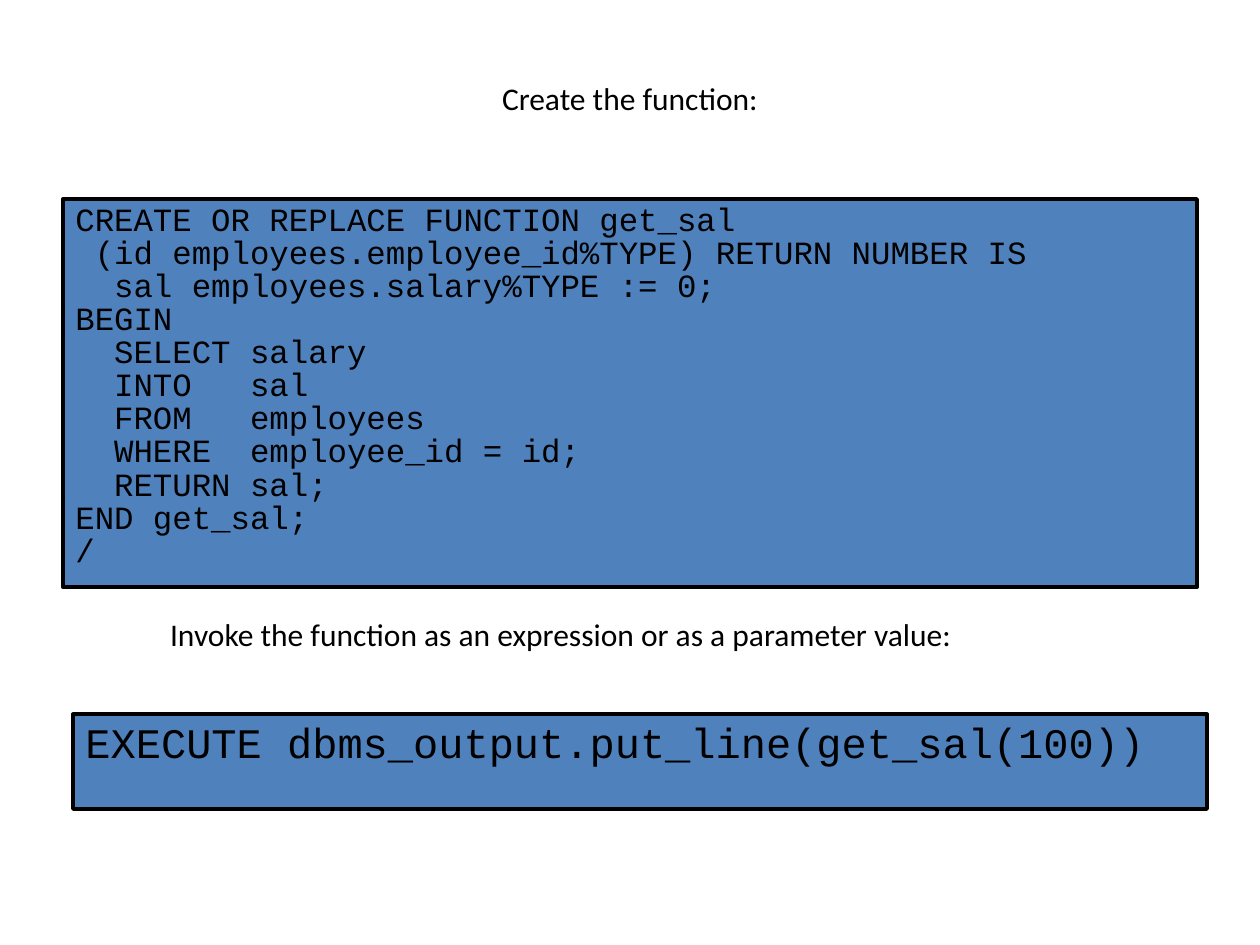
import pptx
import pptx.dml.color
import pptx.enum.shapes
import pptx.enum.text
import pptx.util

Inches = pptx.util.Inches
Pt = pptx.util.Pt
Align = pptx.enum.text.PP_ALIGN
Anchor = pptx.enum.text.MSO_ANCHOR

COLORS = {"ink": "000000", "panel": "4F81BD"}
TEXT_FONT = "Calibri"
CODE_FONT = "Courier New"

FUNCTION_CODE = """CREATE OR REPLACE FUNCTION get_sal
 (id employees.employee_id%TYPE) RETURN NUMBER IS
  sal employees.salary%TYPE := 0;
BEGIN
  SELECT salary
  INTO   sal
  FROM   employees
  WHERE  employee_id = id;
  RETURN sal;
END get_sal;
/"""
CALL_CODE = "EXECUTE dbms_output.put_line(get_sal(100))"


class SlideBuilder:
    def __init__(self, slide):
        self.slide = slide

    def color(self, name):
        return pptx.dml.color.RGBColor.from_string(COLORS[name])

    def add_line(self, para, text, font, size):
        span = para.add_run()
        span.text = text
        span.font.name = font
        span.font.size = Pt(size)
        span.font.color.rgb = self.color("ink")

    def label(self, text, left, top, width, height, align=Align.LEFT,
              anchor=Anchor.TOP, left_inset=0.1, bottom_inset=0.05):
        box = self.slide.shapes.add_textbox(
            Inches(left), Inches(top), Inches(width), Inches(height))
        frame = box.text_frame
        frame.word_wrap = True
        frame.vertical_anchor = anchor
        frame.margin_left = Inches(left_inset)
        frame.margin_bottom = Inches(bottom_inset)
        para = frame.paragraphs[0]
        para.alignment = align
        self.add_line(para, text, TEXT_FONT, 18)

    def code_panel(self, code, left, top, width, height, size, spacing):
        panel = self.slide.shapes.add_shape(
            pptx.enum.shapes.MSO_SHAPE.RECTANGLE,
            Inches(left), Inches(top), Inches(width), Inches(height))
        panel.shadow.inherit = False
        panel.fill.solid()
        panel.fill.fore_color.rgb = self.color("panel")
        panel.line.color.rgb = self.color("ink")
        panel.line.width = Pt(2.25)
        frame = panel.text_frame
        frame.word_wrap = True
        frame.vertical_anchor = Anchor.TOP
        for index, text in enumerate(code.splitlines()):
            para = frame.add_paragraph() if index else frame.paragraphs[0]
            para.alignment = Align.LEFT
            para.line_spacing = spacing
            self.add_line(para, text, CODE_FONT, size)


def main():
    deck = pptx.Presentation()
    deck.slide_width = Inches(10)
    deck.slide_height = Inches(7.5)
    page = SlideBuilder(deck.slides.add_slide(deck.slide_layouts[6]))

    # Function definition
    page.label("Create the function:", 0.5, 0.3, 9, 1.25,
               align=Align.CENTER, anchor=Anchor.MIDDLE, bottom_inset=0.35)
    page.code_panel(FUNCTION_CODE, 0.5, 1.58, 9, 3.08, size=18.5, spacing=0.85)

    # Function call
    page.label("Invoke the function as an expression or as a parameter value:",
               0.75, 4.83, 8.25, 0.4, left_inset=0.6)
    page.code_panel(CALL_CODE, 0.58, 5.67, 9, 0.75, size=24, spacing=0.95)

    deck.save("out.pptx")


if __name__ == "__main__":
    main()
